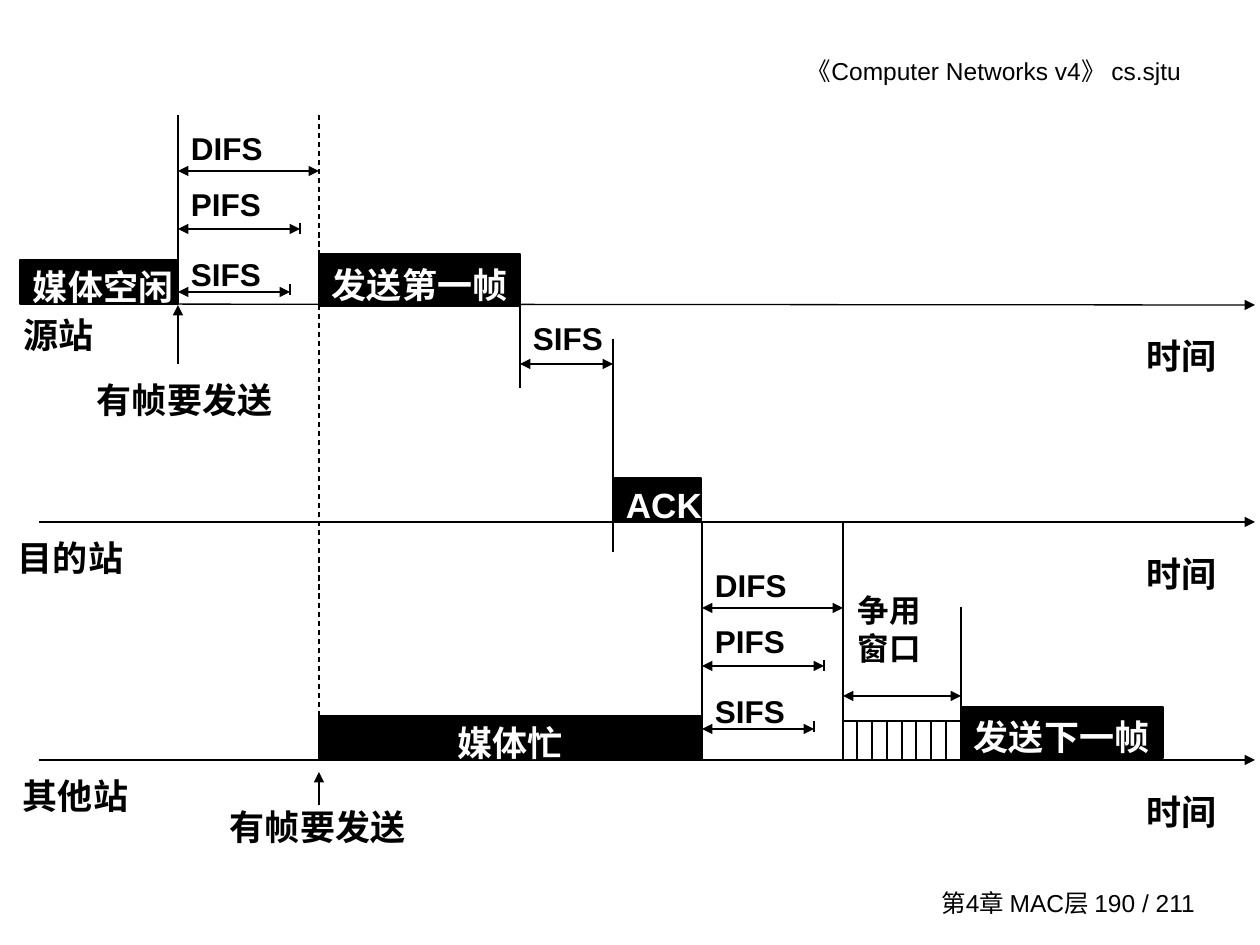
from dataclasses import dataclass, field

from lxml import etree
from pptx import Presentation
from pptx.dml.color import RGBColor
from pptx.enum.dml import MSO_LINE
from pptx.enum.shapes import MSO_CONNECTOR, MSO_SHAPE
from pptx.enum.text import MSO_ANCHOR, MSO_AUTO_SIZE, PP_ALIGN
from pptx.oxml.ns import qn
from pptx.slide import Slide
from pptx.text.text import TextFrame
from pptx.util import Emu, Pt

LEFT, CENTER, RIGHT = PP_ALIGN.LEFT, PP_ALIGN.CENTER, PP_ALIGN.RIGHT
TOP, MIDDLE = MSO_ANCHOR.TOP, MSO_ANCHOR.MIDDLE
GROW, FIXED = MSO_AUTO_SIZE.SHAPE_TO_FIT_TEXT, MSO_AUTO_SIZE.NONE
RECTANGLE, STRAIGHT, DASH = MSO_SHAPE.RECTANGLE, MSO_CONNECTOR.STRAIGHT, MSO_LINE.DASH
EMU_PER_INCH, PX_PER_INCH = 914400, 126


@dataclass(frozen=True)
class Theme:
    ink: RGBColor = RGBColor(0, 0, 0)
    paper: RGBColor = RGBColor(255, 255, 255)
    font: str = "Arial"
    body: int = 20
    interval: int = 18
    running: int = 14
    stroke: float = 0.75
    inset_x: int = 13
    inset_y: int = 6
    hanging: int = 66


THEME = Theme()


@dataclass(frozen=True)
class TextStyle:
    size: int = THEME.body
    color: RGBColor = THEME.ink
    bold: bool = True
    align: PP_ALIGN = LEFT
    anchor: MSO_ANCHOR = TOP
    wrap: bool = True
    fit: MSO_AUTO_SIZE = GROW
    spacing: float = 1.2
    inset_x: int = THEME.inset_x
    hanging: int = THEME.hanging


BODY = TextStyle()
INTERVAL = TextStyle(size=THEME.interval)
WINDOW = TextStyle(size=THEME.interval, spacing=1.0, inset_x=0)
HEADER = TextStyle(THEME.running, bold=False, align=RIGHT, spacing=1.0, hanging=0)
FOOTER = TextStyle(THEME.running, bold=False, align=RIGHT, anchor=MIDDLE,
                   fit=FIXED, spacing=1.0, hanging=0)
BAR = TextStyle(color=THEME.paper, anchor=MIDDLE, wrap=False, fit=FIXED)
CENTERED_BAR = TextStyle(color=THEME.paper, align=CENTER, anchor=MIDDLE,
                         wrap=False, fit=FIXED)


@dataclass(frozen=True)
class Label:
    text: str
    left: int
    top: int
    width: int
    height: int = 63
    style: TextStyle = field(default=BODY)


@dataclass(frozen=True)
class Line:
    start_x: int
    start_y: int
    end_x: int
    end_y: int
    arrows: tuple[str, ...] = ()
    dashed: bool = False


@dataclass(frozen=True)
class Interval:
    name: str
    text_top: int
    arrow_y: int
    length: int
    tick: tuple[int, int] | None = None


ONE_WAY = ("tailEnd",)
TWO_WAY = ("headEnd", "tailEnd")

INTERVALS = (
    Interval("DIFS", 0, 56, 141),
    Interval("PIFS", 56, 114, 122, (108, 119)),
    Interval("SIFS", 126, 177, 112, (169, 180)),
)
INTERVAL_ORIGINS = ((178, 115), (702, 552))

LINES = (
    Line(39, 304, 1255, 305, ONE_WAY),
    Line(39, 522, 1255, 522, ONE_WAY),
    Line(39, 760, 1255, 760, ONE_WAY),
    Line(178, 115, 178, 260),
    Line(319, 115, 319, 760, dashed=True),
    Line(178, 364, 178, 305, ONE_WAY),
    Line(520, 299, 520, 388),
    Line(613, 339, 613, 552),
    Line(520, 364, 613, 364, TWO_WAY),
    Line(319, 805, 319, 772, ONE_WAY),
    Line(702, 522, 702, 716),
    Line(843, 522, 843, 760),
    Line(961, 607, 961, 721),
    Line(843, 696, 961, 696, TWO_WAY),
)
BARS = (
    Label("媒体空闲", 20, 260, 158, 44, BAR),
    Label("发送第一帧", 319, 254, 201, 52, BAR),
    Label("ACK", 613, 478, 88, 44, BAR),
    Label("媒体忙", 319, 716, 383, 44, CENTERED_BAR),
    Label("发送下一帧", 961, 707, 202, 51, BAR),
)
LABELS = (
    Label("《Computer Networks v4》 cs.sjtu", 600, 50, 594, 43, HEADER),
    Label("第4章 MAC层 190 / 211", 920, 882, 288, 42, FOOTER),
    *(Label("时间", 1133, top, 108) for top in (320, 538, 776)),
    Label("源站", 10, 299, 108),
    Label("目的站", 5, 522, 137),
    Label("其他站", 10, 760, 137),
    Label("有帧要发送", 84, 364, 215),
    Label("有帧要发送", 217, 791, 215),
    Label("SIFS", 520, 305, 113, 58, INTERVAL),
    Label("争用\n窗口", 858, 585, 88, 88, WINDOW),
)
SLOT_COUNT, SLOTS_LEFT, SLOTS_WIDTH, SLOTS_TOP, SLOT_HEIGHT = 8, 843, 118, 721, 39


def px(length: int) -> Emu:
    return Emu(round(length * EMU_PER_INCH / PX_PER_INCH))


def apply(target: object, values: dict[str, object]) -> None:
    for name, value in values.items():
        setattr(target, name, value)


def write_text(frame: TextFrame, text: str, style: TextStyle) -> None:
    apply(frame, {
        "word_wrap": style.wrap, "auto_size": style.fit, "vertical_anchor": style.anchor,
        "margin_left": px(style.inset_x), "margin_right": px(style.inset_x),
        "margin_top": px(THEME.inset_y), "margin_bottom": px(THEME.inset_y),
    })
    frame.text = text
    for paragraph in frame.paragraphs:
        properties = paragraph._p.get_or_add_pPr()
        properties.set("marL", str(px(style.hanging)))
        properties.set("indent", str(px(-style.hanging)))
        apply(paragraph, {"alignment": style.align, "line_spacing": style.spacing})
        for span in paragraph.runs:
            apply(span.font, {"name": THEME.font, "size": Pt(style.size), "bold": style.bold})
            span.font.color.rgb = style.color


def draw_label(page: Slide, label: Label) -> None:
    box = page.shapes.add_textbox(*map(px, (label.left, label.top, label.width, label.height)))
    write_text(box.text_frame, label.text, label.style)


def draw_box(page: Slide, left: int, top: int, width: int, height: int, filled: bool) -> TextFrame:
    box = page.shapes.add_shape(RECTANGLE, *map(px, (left, top, width, height)))
    box.shadow.inherit = False
    if filled:
        box.fill.solid()
        box.fill.fore_color.rgb = THEME.ink
    else:
        box.fill.background()
    box.line.color.rgb = THEME.ink
    box.line.width = Pt(THEME.stroke)
    return box.text_frame


def draw_line(page: Slide, line: Line) -> None:
    connector = page.shapes.add_connector(
        STRAIGHT, *map(px, (line.start_x, line.start_y, line.end_x, line.end_y)))
    connector.line.color.rgb = THEME.ink
    connector.line.width = Pt(THEME.stroke)
    if line.dashed:
        connector.line.dash_style = DASH
    outline = connector.line._get_or_add_ln()
    for end in line.arrows:
        etree.SubElement(outline, qn(f"a:{end}"), type="triangle")
    etree.SubElement(connector._element.spPr, qn("a:effectLst"))


def draw_interval(page: Slide, left: int, top: int, interval: Interval) -> None:
    right, arrow_y = left + interval.length, top + interval.arrow_y
    draw_line(page, Line(left, arrow_y, right, arrow_y, TWO_WAY))
    if interval.tick:
        tick_top, tick_bottom = interval.tick
        draw_line(page, Line(right, top + tick_top, right, top + tick_bottom))
    draw_label(page, Label(interval.name, left, top + interval.text_top, 113, 58, INTERVAL))


def main() -> None:
    deck = Presentation()
    apply(deck, {"slide_width": px(1260), "slide_height": px(945)})
    page = deck.slides.add_slide(deck.slide_layouts[6])
    for line in LINES:
        draw_line(page, line)
    for left, top in INTERVAL_ORIGINS:
        for interval in INTERVALS:
            draw_interval(page, left, top, interval)
    edges = [SLOTS_LEFT + SLOTS_WIDTH * slot // SLOT_COUNT for slot in range(SLOT_COUNT + 1)]
    for left, right in zip(edges, edges[1:]):
        draw_box(page, left, SLOTS_TOP, right - left, SLOT_HEIGHT, filled=False)
    for bar in BARS:
        frame = draw_box(page, bar.left, bar.top, bar.width, bar.height, filled=True)
        write_text(frame, bar.text, bar.style)
    for label in LABELS:
        draw_label(page, label)
    deck.save("out.pptx")


if __name__ == "__main__":
    main()
